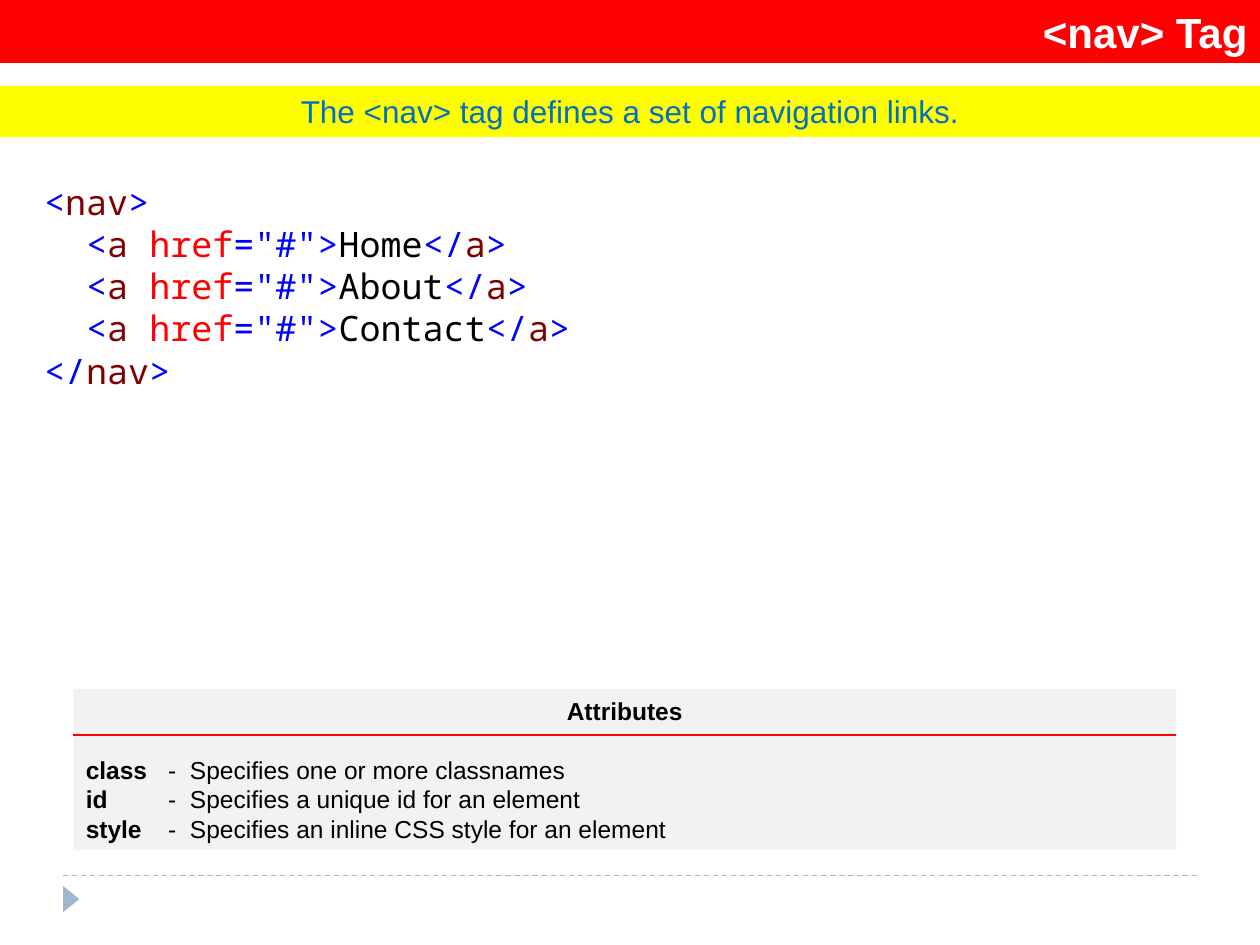
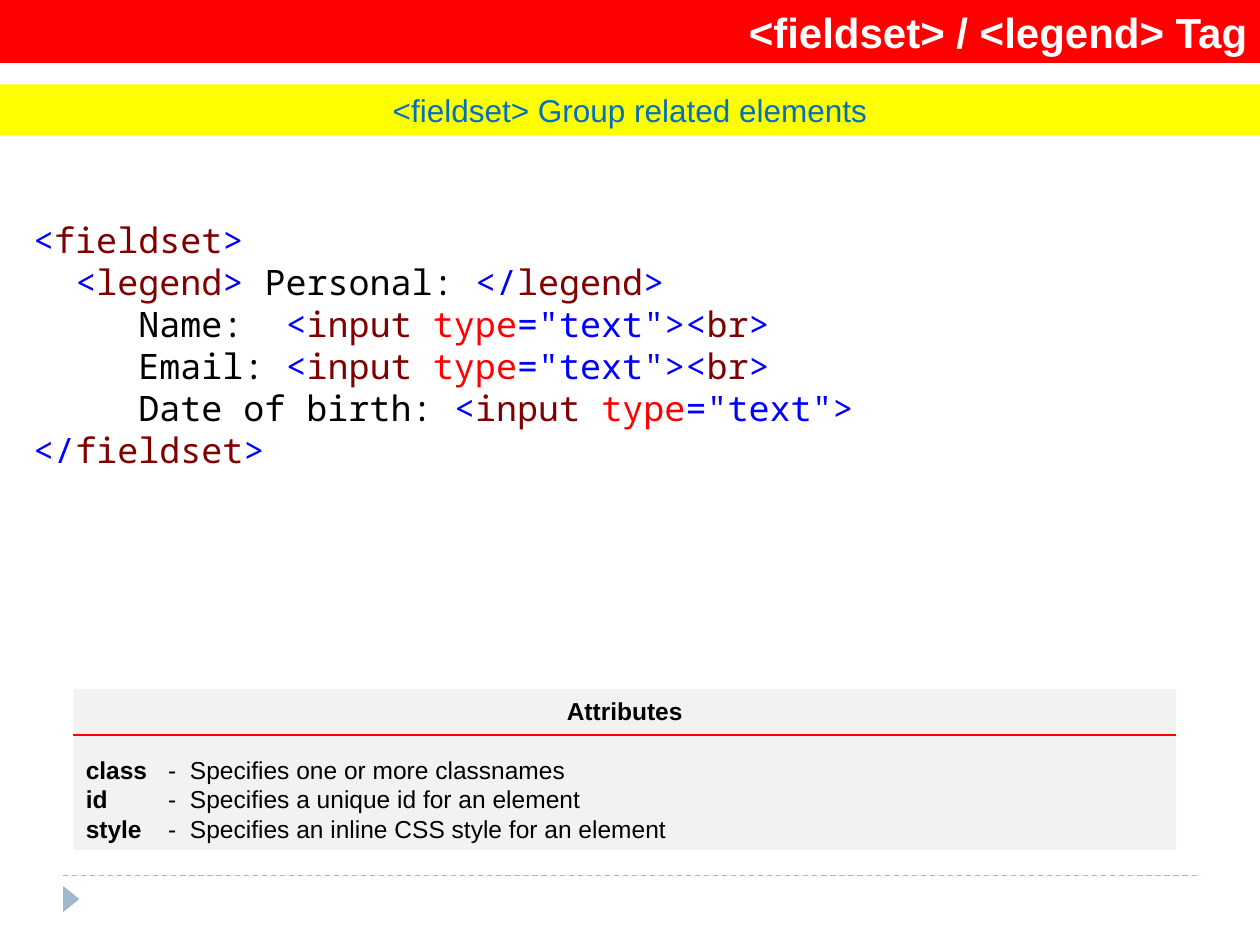
from lxml import etree
from pptx import Presentation
from pptx.dml.color import RGBColor
from pptx.enum import dml, shapes, text
from pptx.oxml import ns
from pptx.util import Cm, Pt

WHITE = RGBColor(0xFF, 0xFF, 0xFF)
BLACK = RGBColor(0, 0, 0)
RED = RGBColor(0xFF, 0, 0)
YELLOW = RGBColor(0xFF, 0xFF, 0)
SUMMARY_BLUE = RGBColor(0, 0x70, 0xC0)
PANEL_GREY = RGBColor(0xF2, 0xF2, 0xF2)
FOOTER_BLUE = RGBColor(0x9F, 0xB8, 0xCD)
CODE_BLUE = RGBColor(0, 0, 0xFF)
CODE_MAROON = RGBColor(0x80, 0, 0)

SANS, MONO = "Arial", "Noto Sans Mono"
WIDTH, HEIGHT = 25.4, 19.05
PANEL_LEFT, PANEL_TOP, PANEL_WIDTH, PANEL_HEIGHT = 1.48, 13.89, 22.23, 3.25
PANEL_LINE = Pt(16.85)
PANEL_TABS = (1.66, 2.1)

ATTRIBUTES = (
    ("class", "Specifies one or more classnames"),
    ("id", "Specifies a unique id for an element"),
    ("style", "Specifies an inline CSS style for an element"),
)

NAV_CODE = """\
<nav>
  <a href="#">Home</a>
  <a href="#">About</a>
  <a href="#">Contact</a>
</nav>"""

FIELDSET_CODE = """\
<fieldset>
  <legend> Personal: </legend>
     Name:  <input type="text"><br>
     Email: <input type="text"><br>
     Date of birth: <input type="text">
</fieldset>"""


def add_block(page, kind, left, top, width, height, colour):
    """Add a flat, borderless shape."""
    block = page.shapes.add_shape(kind, Cm(left), Cm(top), Cm(width), Cm(height))
    block.shadow.inherit = False
    block.fill.solid()
    block.fill.fore_color.rgb = colour
    block.line.fill.background()
    return block


def add_rule(page, left, right, top, colour, weight, dash=None):
    rule = page.shapes.add_connector(
        shapes.MSO_CONNECTOR.STRAIGHT, Cm(left), Cm(top), Cm(right), Cm(top))
    rule.line.color.rgb = colour
    rule.line.width = Pt(weight)
    if dash:
        rule.line.dash_style = dash
    etree.SubElement(rule._element.spPr, ns.qn("a:effectLst"))


def style(para, size, colour, bold=None, name=SANS):
    para.font.name = name
    para.font.size = Pt(size)
    para.font.color.rgb = colour
    para.font.bold = bold


def add_band(page, top, height, fill, words, align, size, colour, bold=None):
    """Add a full-width band with one line of text."""
    band = add_block(page, shapes.MSO_SHAPE.RECTANGLE, 0, top, WIDTH, height, fill)
    band.text_frame.word_wrap = True
    para = band.text_frame.paragraphs[0]
    para.text = words
    para.alignment = align
    style(para, size, colour, bold)


def add_tabs(para, stops):
    tabs = etree.SubElement(para._p.get_or_add_pPr(), ns.qn("a:tabLst"))
    for stop in stops:
        etree.SubElement(tabs, ns.qn("a:tab"), pos=str(int(Cm(stop))), algn="l")


def add_attributes(page):
    panel = add_block(page, shapes.MSO_SHAPE.RECTANGLE, PANEL_LEFT, PANEL_TOP,
                      PANEL_WIDTH, PANEL_HEIGHT, PANEL_GREY)
    frame = panel.text_frame
    frame.word_wrap = True
    heading = frame.paragraphs[0]
    heading.text = "Attributes"
    heading.alignment = text.PP_ALIGN.CENTER
    heading.line_spacing = PANEL_LINE
    style(heading, 14, BLACK, True)
    for index, (name, meaning) in enumerate(ATTRIBUTES):
        para = frame.add_paragraph()
        para.alignment = text.PP_ALIGN.LEFT
        para.line_spacing = PANEL_LINE
        if index == 0:
            para.space_before = PANEL_LINE
        add_tabs(para, PANEL_TABS)
        style(para, 14, BLACK)
        for words, bold in ((name, True), (f"\t-\t{meaning}", False)):
            span = para.add_run()
            span.text = words
            span.font.bold = bold
    add_rule(page, PANEL_LEFT, PANEL_LEFT + PANEL_WIDTH, 14.82, RED, 1)


def split_markup(line):
    """Yield the coloured pieces of one line of HTML."""
    while line:
        plain, opening, line = line.partition("<")
        yield plain, BLACK
        if not opening:
            return
        tag, _, line = line.partition(">")
        slash = "/" if tag.startswith("/") else ""
        name, space, attribute = tag[len(slash):].partition(" ")
        key, equals, value = attribute.partition("=")
        yield "<" + slash, CODE_BLUE
        yield name + space, CODE_MAROON
        yield key, RED
        yield equals + value + ">", CODE_BLUE


def add_code(page, left, top, width, height, code):
    box = page.shapes.add_textbox(Cm(left), Cm(top), Cm(width), Cm(height))
    frame = box.text_frame
    frame.word_wrap = True
    for index, line in enumerate(code.splitlines()):
        para = frame.add_paragraph() if index else frame.paragraphs[0]
        para.line_spacing = Pt(24.1)
        style(para, 20, BLACK, name=MONO)
        for words, colour in split_markup(line):
            if words:
                span = para.add_run()
                span.text = words
                span.font.color.rgb = colour


def add_footer(page):
    add_rule(page, 1.27, WIDTH - 1.27, 17.65, FOOTER_BLUE, 0.75,
             dml.MSO_LINE.DASH)
    marker = add_block(page, shapes.MSO_SHAPE.ISOSCELES_TRIANGLE,
                       1.17, 17.96, 0.53, 0.33, FOOTER_BLUE)
    marker.rotation = 90


def add_tag_page(deck, title, summary, summary_top, code, code_place):
    page = deck.slides.add_slide(deck.slide_layouts[6])
    add_footer(page)
    add_band(page, 0, 1.27, RED, title, text.PP_ALIGN.RIGHT, 24, WHITE, True)
    add_band(page, summary_top, 1.03, YELLOW, summary, text.PP_ALIGN.CENTER,
             18, SUMMARY_BLUE)
    add_attributes(page)
    add_code(page, *code_place, code)


def main():
    deck = Presentation()
    deck.slide_width, deck.slide_height = Cm(WIDTH), Cm(HEIGHT)
    # Navigation links
    add_tag_page(deck, "<nav> Tag",
                 "The <nav> tag defines a set of navigation links.", 1.73,
                 NAV_CODE, (0.64, 3.51, 24.33, 4.7))
    # Grouped form fields
    add_tag_page(deck, "<fieldset> / <legend> Tag",
                 "<fieldset> Group related elements", 1.7,
                 FIELDSET_CODE, (0.42, 4.27, 24.56, 5.38))
    deck.save("out.pptx")


if __name__ == "__main__":
    main()
